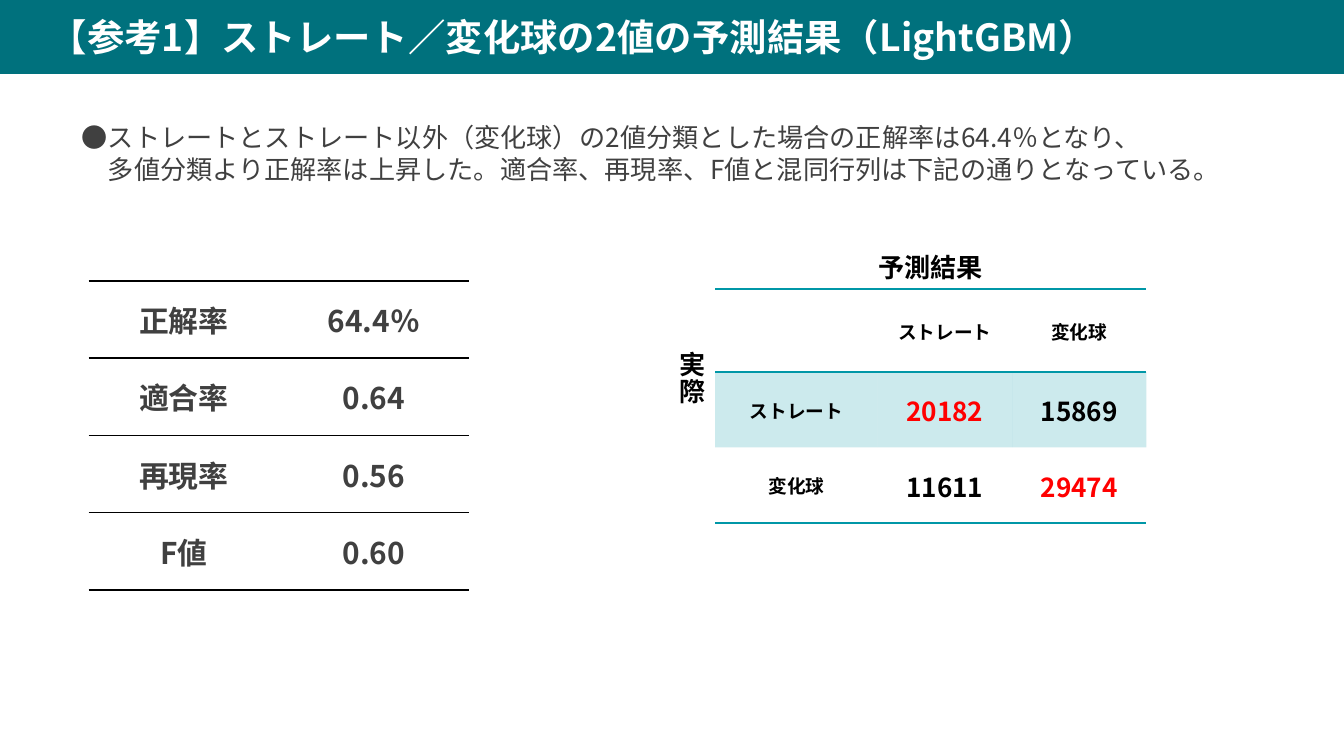
from dataclasses import dataclass

from lxml.etree import SubElement
from pptx import Presentation
from pptx.dml.color import RGBColor
from pptx.enum.text import MSO_ANCHOR, MSO_AUTO_SIZE, PP_ALIGN
from pptx.oxml.ns import qn
from pptx.slide import Slide
from pptx.table import _Cell
from pptx.text.text import TextFrame
from pptx.util import Inches, Pt

FONT = "Noto Sans CJK JP"
WHITE = RGBColor(0xFF, 0xFF, 0xFF)
BLACK = RGBColor(0, 0, 0)
GRAY = RGBColor(0x40, 0x40, 0x40)
RED = RGBColor(0xFF, 0, 0)
DARK_TEAL = RGBColor(0x00, 0x71, 0x7D)
TEAL = RGBColor(0x00, 0x97, 0xA7)


@dataclass
class CellText:
    text: str
    size: int
    color: RGBColor


@dataclass
class TableSpec:
    left: float
    top: float
    widths: list[float]
    heights: list[float]
    rows: list[list[CellText]]
    border: RGBColor
    ruled_edges: set[int]  # 0 is the top edge of the first row
    shaded_rows: set[int]
    margins: tuple[float, float, float, float]


def write_text(frame: TextFrame, text: str, *, size: int, color: RGBColor, bold: bool = True,
               align: PP_ALIGN = PP_ALIGN.CENTER) -> None:
    frame.text = text
    for paragraph in frame.paragraphs:
        paragraph.alignment = align
        for run in paragraph.runs:
            font = run.font
            font.size, font.bold, font.name = Pt(size), bold, FONT
            font.color.rgb = color
            SubElement(font._element, qn("a:ea"), typeface=FONT)


def set_margins(target: TextFrame | _Cell, margins: tuple[float, float, float, float]) -> None:
    """Set left, top, right and bottom margins in inches."""
    (target.margin_left, target.margin_top,
     target.margin_right, target.margin_bottom) = map(Inches, margins)


def add_text_box(slide: Slide, box: tuple[float, float, float, float], text: str,
                 **text_format) -> TextFrame:
    frame = slide.shapes.add_textbox(*map(Inches, box)).text_frame
    frame.word_wrap = True
    write_text(frame, text, **text_format)
    return frame


def set_borders(cell: _Cell, color: RGBColor, top: bool, bottom: bool) -> None:
    properties = cell._tc.get_or_add_tcPr()
    for side, ruled in (("L", False), ("R", False), ("T", top), ("B", bottom)):
        line = SubElement(properties, qn(f"a:ln{side}"), w=str(Pt(1)))
        if ruled:
            SubElement(SubElement(line, qn("a:solidFill")), qn("a:srgbClr"), val=str(color))
        else:
            SubElement(line, qn("a:noFill"))


def shade(cell: _Cell, color: RGBColor, opacity: int) -> None:
    cell.fill.solid()
    cell.fill.fore_color.rgb = color
    color_element = cell._tc.tcPr.find(qn("a:solidFill")).find(qn("a:srgbClr"))
    SubElement(color_element, qn("a:alpha"), val=str(opacity * 1000))


def add_table(slide: Slide, spec: TableSpec) -> None:
    table = slide.shapes.add_table(
        len(spec.heights), len(spec.widths), Inches(spec.left), Inches(spec.top),
        Inches(sum(spec.widths)), Inches(sum(spec.heights))).table
    table.first_row = table.horz_banding = False
    for column, width in zip(table.columns, spec.widths):
        column.width = Inches(width)
    for row_index, (row, height) in enumerate(zip(table.rows, spec.heights)):
        row.height = Inches(height)
        for cell, content in zip(row.cells, spec.rows[row_index]):
            set_margins(cell, spec.margins)
            cell.vertical_anchor = MSO_ANCHOR.MIDDLE
            write_text(cell.text_frame, content.text, size=content.size, color=content.color)
            set_borders(cell, spec.border, row_index in spec.ruled_edges,
                        row_index + 1 in spec.ruled_edges)
            if row_index in spec.shaded_rows:
                shade(cell, TEAL, 20)
            else:
                cell.fill.background()


def add_title(slide: Slide, text: str) -> None:
    title = slide.shapes.title
    title.left, title.top, title.width, title.height = map(Inches, (0, 0, 10, 0.55))
    title.fill.solid()
    title.fill.fore_color.rgb = DARK_TEAL
    frame = title.text_frame
    frame.auto_size = MSO_AUTO_SIZE.NONE
    frame.vertical_anchor = MSO_ANCHOR.MIDDLE
    set_margins(frame, (0.37, 0.1, 0.1, 0.1))
    write_text(frame, text, size=20, color=WHITE, align=PP_ALIGN.LEFT)


def add_summary(slide: Slide) -> None:
    frame = add_text_box(
        slide, (0.51, 0.67, 9.13, 0.94),
        "●ストレートとストレート以外（変化球）の2値分類とした場合の正解率は64.4％となり、\n"
        "多値分類より正解率は上昇した。適合率、再現率、F値と混同行列は下記の通りとなっている。",
        size=14, color=GRAY, bold=False, align=PP_ALIGN.LEFT)
    frame.vertical_anchor = MSO_ANCHOR.MIDDLE
    set_margins(frame, (0.1, 0.1, 0.1, 0.1))
    frame.paragraphs[1]._p.get_or_add_pPr().set("marL", str(Pt(14)))


def main() -> None:
    presentation = Presentation()
    presentation.slide_width = Inches(10)
    presentation.slide_height = presentation.slide_width * 9 // 16
    slide = presentation.slides.add_slide(presentation.slide_layouts[5])

    add_title(slide, "【参考1】ストレート／変化球の2値の予測結果（LightGBM）")

    scores = [("正解率", "64.4％"), ("適合率", "0.64"), ("再現率", "0.56"), ("F値", "0.60")]
    add_table(slide, TableSpec(
        0.66, 2.09, [2.83 / 2] * 2, [2.3 / 4] * 4,
        [[CellText(text, 16, GRAY) for text in score] for score in scores],
        BLACK, set(range(5)), set(), (0.1, 0.05, 0.1, 0.05)))

    add_text_box(slide, (6.31, 1.82, 1.23, 0.34), "予測結果", size=14, color=BLACK)
    actual = add_text_box(slide, (4.93, 2.52, 0.44, 0.6), "実際", size=14, color=BLACK)
    actual.vertical_anchor = MSO_ANCHOR.MIDDLE
    actual._txBody.bodyPr.set("vert", "eaVert")

    pitches = ["ストレート", "変化球"]
    counts = [["20182", "15869"], ["11611", "29474"]]
    matrix = [[CellText(text, 10, BLACK) for text in ["", *pitches]]]
    for row_index, (pitch, values) in enumerate(zip(pitches, counts)):
        matrix.append([CellText(pitch, 10, BLACK)] + [
            CellText(value, 14, RED if row_index == column_index else BLACK)
            for column_index, value in enumerate(values)])
    add_table(slide, TableSpec(
        5.32, 2.15, [1.21, 1, 1], [0.62, 0.56, 0.56], matrix,
        TEAL, {0, 1, 3}, {1}, (0.01, 0.01, 0.01, 0)))

    add_summary(slide)
    presentation.save("out.pptx")


if __name__ == "__main__":
    main()
